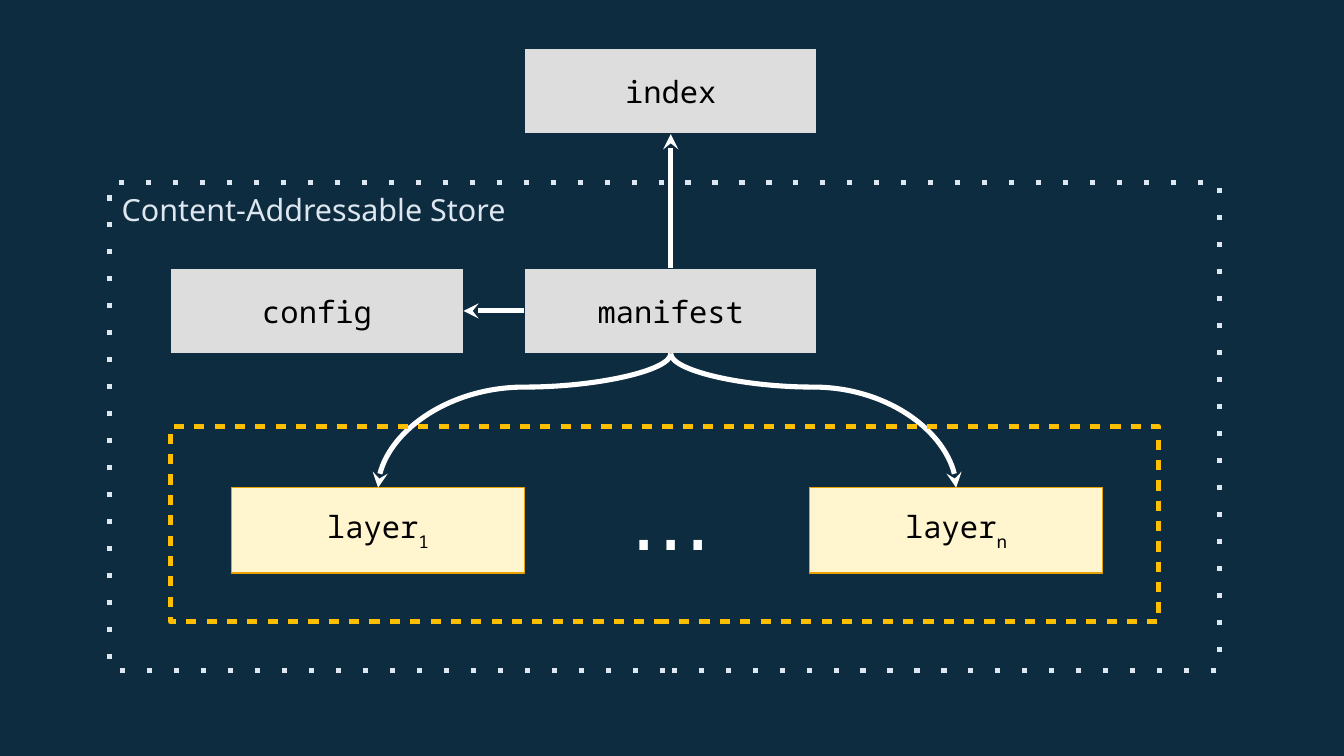
from lxml.etree import SubElement
from pptx import Presentation
from pptx.dml.color import RGBColor
from pptx.enum.shapes import MSO_CONNECTOR, MSO_SHAPE
from pptx.enum.text import MSO_ANCHOR, PP_ALIGN
from pptx.oxml.ns import qn
from pptx.util import Inches, Pt


def hex_color(value):
    return RGBColor.from_string(value)


def write(frame, text, subscript="", size=18, font="Noto Sans Mono", color="000000",
          align=PP_ALIGN.CENTER, anchor=MSO_ANCHOR.MIDDLE, wrap=False):
    frame.word_wrap = wrap
    frame.vertical_anchor = anchor
    paragraph = frame.paragraphs[0]
    paragraph.alignment = align
    for part, baseline in ((text, 0), (subscript, -33000)):
        if part:
            run = paragraph.add_run()
            run.text = part
            run.font.size = Pt(size)
            run.font.name = font
            run.font.color.rgb = hex_color(color)
            if baseline:
                run.font._element.set("baseline", str(baseline))


deck = Presentation()
deck.slide_width = Inches(11.02)
deck.slide_height = Inches(6.2)
slide = deck.slides.add_slide(deck.slide_layouts[6])
slide.background.fill.solid()
slide.background.fill.fore_color.rgb = hex_color("0D2C40")
shapes = slide.shapes

node_width, node_height = 2.4, 0.7
index_top, manifest_top, layer_top = 0.4, 2.2, 4.0
config_left, manifest_left = 1.4, 4.3
layer_lefts = (1.9, 6.64)
gray, cream = ("DDDDDD", "0D2C40"), ("FFF5CE", "E8A202")

for label, subscript, left, top, (fill, outline) in (
    ("index", "", manifest_left, index_top, gray),
    ("manifest", "", manifest_left, manifest_top, gray),
    ("config", "", config_left, manifest_top, gray),
    ("layer", "1", layer_lefts[0], layer_top, cream),
    ("layer", "n", layer_lefts[1], layer_top, cream),
):
    node = shapes.add_shape(MSO_SHAPE.RECTANGLE, Inches(left), Inches(top),
                            Inches(node_width), Inches(node_height))
    node.shadow.inherit = False
    node.fill.solid()
    node.fill.fore_color.rgb = hex_color(fill)
    node.line.color.rgb = hex_color(outline)
    node.line.width = 0
    write(node.text_frame, label, subscript)

center = manifest_left + node_width / 2
manifest_middle = manifest_top + node_height / 2
manifest_bottom = manifest_top + node_height
arrows = [
    shapes.add_connector(MSO_CONNECTOR.STRAIGHT, *map(Inches, ends))
    for ends in (
        (manifest_left, manifest_middle, config_left + node_width, manifest_middle),
        (center, manifest_top, center, index_top + node_height),
    )
]

drop = layer_top - manifest_bottom
for layer_left, quarter_turns in zip(layer_lefts, (1, 3)):
    layer_center = layer_left + node_width / 2
    span = abs(layer_center - center)
    left = (center + layer_center - drop) / 2
    top = (manifest_bottom + layer_top - span) / 2
    start, end = (left, left + drop) if quarter_turns == 1 else (left + drop, left)
    curve = shapes.add_connector(MSO_CONNECTOR.CURVE, Inches(start), Inches(top),
                                 Inches(end), Inches(top + span))
    properties = curve._element.spPr
    properties.find(qn("a:xfrm")).set("rot", str(quarter_turns * 90 * 60000))
    bends = properties.find(qn("a:prstGeom")).find(qn("a:avLst"))
    SubElement(bends, qn("a:gd"), name="adj1", fmla="val 25000")
    arrows.append(curve)

for arrow in arrows:
    arrow.line.color.rgb = hex_color("FFFFFF")
    arrow.line.width = Pt(3)
    SubElement(arrow.line._get_or_add_ln(), qn("a:tailEnd"), type="stealth")
    SubElement(arrow._element.spPr, qn("a:effectLst"))

ellipsis = shapes.add_textbox(Inches(4.6), Inches(layer_top), Inches(1.8), Inches(node_height))
write(ellipsis.text_frame, "…", size=48, font="DejaVu Sans", color="FFFFFF",
      anchor=MSO_ANCHOR.BOTTOM)

for box, color, dash, gap in (
    ((1.4, 3.5, 8.1, 1.6), "FFBF00", 200000, 200000),
    ((0.9, 1.5, 9.1, 4.0), "DEE6EF", 100000, 430000),
):
    boundary = shapes.add_shape(MSO_SHAPE.RECTANGLE, *map(Inches, box))
    boundary.shadow.inherit = False
    boundary.fill.background()
    boundary.line.color.rgb = hex_color(color)
    boundary.line.width = Pt(3)
    pattern = SubElement(boundary.line._get_or_add_ln(), qn("a:custDash"))
    SubElement(pattern, qn("a:ds"), d=str(dash), sp=str(gap))

store_label = shapes.add_textbox(Inches(0.9), Inches(1.52), Inches(9.1), Inches(0.44))
write(store_label.text_frame, "Content-Addressable Store", font="Noto Sans", color="DEE6EF",
      align=PP_ALIGN.LEFT, anchor=MSO_ANCHOR.TOP, wrap=True)

deck.save("out.pptx")
